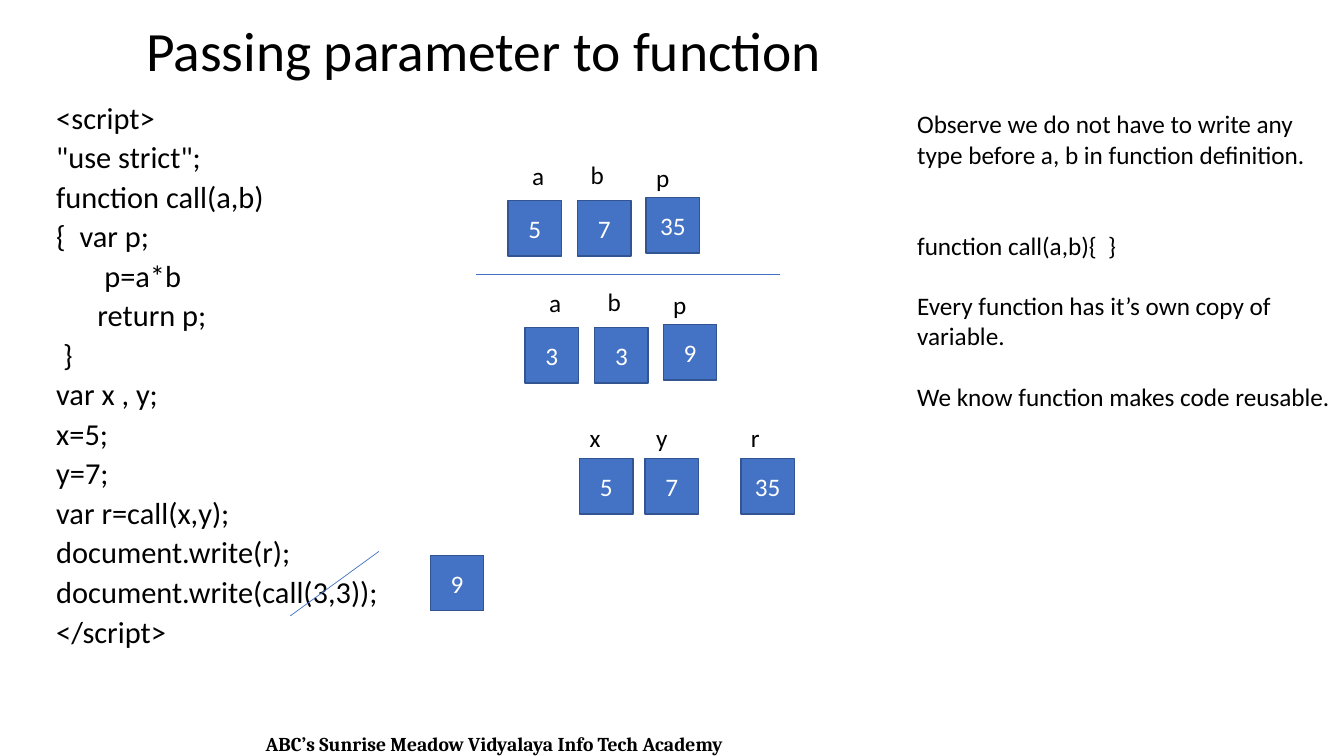
from dataclasses import dataclass

from lxml.etree import SubElement
from pptx import Presentation
from pptx.dml.color import RGBColor as Rgb
from pptx.enum.shapes import MSO_CONNECTOR as Link, MSO_SHAPE as Shape
from pptx.enum.text import MSO_ANCHOR as Anchor, MSO_AUTO_SIZE as Fit, PP_ALIGN as Align
from pptx.oxml.ns import qn
from pptx.util import Inches, Pt


@dataclass(frozen=True)
class Theme:
    """Hold the colours, fonts and type sizes of the slide."""
    ink: Rgb = Rgb(0, 0, 0)
    pale: Rgb = Rgb(255, 255, 255)
    blue: Rgb = Rgb(0x44, 0x72, 0xC4)
    edge: Rgb = Rgb(0x32, 0x54, 0x91)
    face: str = "Calibri"
    serif: str = "Cambria"
    head: float = 39.6
    code: float = 21.7
    body: float = 18
    foot: float = 14


THEME = Theme()
COLS, ROWS = 133.33, 75
CELL = 5.3, 5.5
TAG = 3.9, 4
CODE = """<script>
"use strict";
function call(a,b)
{  var p;
       p=a*b
      return p;
 }
var x , y;
x=5;
y=7;
var r=call(x,y);
document.write(r);
document.write(call(3,3));
</script>""".split("\n")
NOTES = [
    ("Observe we do not have to write any type before a, b in function definition.", 0),
    ("function call(a,b){  }", 43.5),
    ("Every function has it’s own copy of variable.", 21.5),
    ("We know function makes code reusable.", 21.5),
]
FRAME = [("a", 0, 0.3, 1.4, -4.5), ("b", 6.9, 0.3, 0.3, -4.6), ("p", 13.7, 0, 0, -4)]
MAIN = [("x", 0, 0, 0, -4.1), ("y", 6.5, 0, 0.1, -4.1), ("r", 16, 0, 0, -4.1)]


def grid(*nums):
    """Turn columns and rows of a tenth of an inch into lengths."""
    return [Inches(num / 10) for num in nums]


def style(para, size, color=THEME.ink, face=THEME.face, align=Align.LEFT):
    """Set the type and alignment of a paragraph."""
    para.alignment = align
    font = para.font
    font.name, font.size, font.color.rgb = face, Pt(size), color


def text(slide, area, lines, size, lead=None, **look):
    """Add a wrapped text box from pairs of wording and space before."""
    frame = slide.shapes.add_textbox(*grid(*area)).text_frame
    frame.word_wrap = True
    for num, (line, gap) in enumerate(lines):
        para = frame.add_paragraph() if num else frame.paragraphs[0]
        para.text = line
        style(para, size, **look)
        para.space_before = Pt(gap)
        if lead:
            para.line_spacing = lead
    return frame


def title(slide, words):
    """Place and format the title."""
    head = slide.shapes.title
    head.left, head.top, head.width, head.height = grid(13.5, 1.6, 109.1, 7.5)
    frame = head.text_frame
    frame.text = words
    frame.auto_size = Fit.NONE
    frame.vertical_anchor = Anchor.MIDDLE
    style(frame.paragraphs[0], THEME.head)
    frame.paragraphs[0].line_spacing = 0.9


def value(slide, left, top, words):
    """Add a square that shows the value of a variable."""
    box = slide.shapes.add_shape(Shape.RECTANGLE, *grid(left, top, *CELL))
    box.shadow.inherit = False
    box.fill.solid()
    box.fill.fore_color.rgb = THEME.blue
    box.line.color.rgb = THEME.edge
    box.line.width = Pt(1)
    frame = box.text_frame
    frame.text = words
    frame.vertical_anchor = Anchor.MIDDLE
    style(frame.paragraphs[0], THEME.body, THEME.pale, align=Align.CENTER)


def scope(slide, left, top, slots, vals):
    """Add a row of named values."""
    for (name, col, row, over, up), val in zip(slots, vals):
        value(slide, left + col, top + row, val)
        spot = left + col + over, top + row + up
        text(slide, (*spot, *TAG), [(name, 0)], THEME.body)


def rule(slide, *ends):
    """Add a thin straight line."""
    line = slide.shapes.add_connector(Link.STRAIGHT, *grid(*ends))
    line.line.color.rgb = THEME.blue
    line.line.width = Pt(0.5)
    SubElement(line._element.spPr, qn("a:effectLst"))


def main():
    """Build and save the slide."""
    deck = Presentation()
    deck.slide_width, deck.slide_height = grid(COLS, ROWS)
    slide = deck.slides.add_slide(deck.slide_layouts.get_by_name("Title Only"))
    foot = text(slide, (2.5, 72.1, 93.1, 3.4),
                [("ABC’s Sunrise Meadow Vidyalaya Info Tech Academy", 0)],
                THEME.foot, face=THEME.serif, align=Align.CENTER)
    foot.paragraphs[0].font.bold = True
    title(slide, "Passing parameter to function")
    code = [(line, 10 if num else 0) for num, line in enumerate(CODE)]
    text(slide, (4.6, 10.3, 44.6, 56.3), code, THEME.code, lead=0.7)
    text(slide, (90, 10.3, 43.3, 37.4), NOTES, THEME.body)
    scope(slide, 50.4, 19.6, FRAME, ["5", "7", "35"])
    scope(slide, 52.1, 32.2, FRAME, ["3", "3", "9"])
    scope(slide, 57.5, 45.5, MAIN, ["5", "7", "35"])
    value(slide, 42.7, 55.1, "9")
    rule(slide, 28.8, 61.1, 37.6, 54.7)
    rule(slide, 47.2, 27.2, 77.4, 27.2)
    deck.save("out.pptx")


if __name__ == "__main__":
    main()
